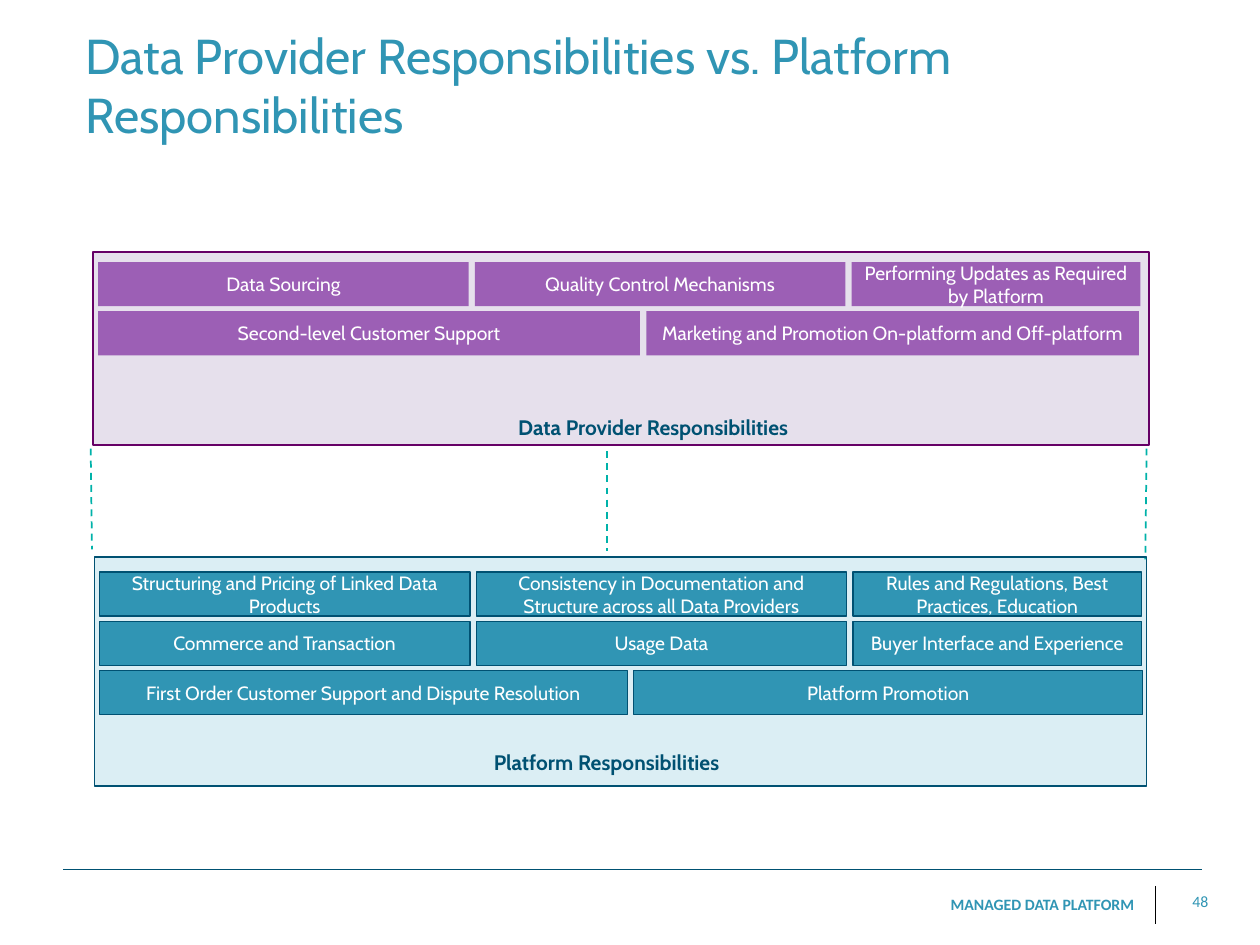
from lxml import etree
from pptx import Presentation
from pptx.dml.color import RGBColor
from pptx.enum.dml import MSO_LINE
from pptx.enum.shapes import MSO_CONNECTOR, MSO_SHAPE
from pptx.enum.text import MSO_ANCHOR, PP_ALIGN
from pptx.oxml.ns import qn
from pptx.util import Inches, Pt

BLUE = RGBColor(0x30, 0x95, 0xB4)
NAVY = RGBColor(0x00, 0x51, 0x72)
PALE_BLUE = RGBColor(0xDB, 0xEE, 0xF4)
VIOLET = RGBColor(0x9C, 0x5F, 0xB5)
PLUM = RGBColor(0x66, 0x00, 0x66)
PALE_VIOLET = RGBColor(0xE6, 0xE0, 0xEC)
TEAL = RGBColor(0x00, 0xB2, 0xA9)
BLACK = RGBColor(0, 0, 0)
WHITE = RGBColor(0xFF, 0xFF, 0xFF)

BAR_HEIGHT, ROW_PITCH, GAP, PANEL_INSET = 0.35, 0.39, 0.05, 0.04

# Bars in each row: (text, width in inches)
PROVIDER_ROWS = [
    [("Data Sourcing", 2.94), ("Quality Control Mechanisms", 2.94),
     ("Performing Updates as Required by Platform", 2.29)],
    [("Second-level Customer Support", 4.3),
     ("Marketing and Promotion On-platform and Off-platform", 3.91)],
]
PLATFORM_ROWS = [
    [("Structuring and Pricing of Linked Data Products", 2.94),
     ("Consistency in Documentation and Structure across all Data Providers", 2.94),
     ("Rules and Regulations, Best Practices, Education", 2.29)],
    [("Commerce and Transaction", 2.94), ("Usage Data", 2.94),
     ("Buyer Interface and Experience", 2.29)],
    [("First Order Customer Support and Dispute Resolution", 4.19),
     ("Platform Promotion", 4.04)],
]


def write(shape, text, size, color, font="Cabin", bold=False,
          align=PP_ALIGN.CENTER, anchor=MSO_ANCHOR.TOP, margins=(0.05, 0.05),
          wrap=True):
    frame = shape.text_frame
    frame.word_wrap = wrap
    frame.vertical_anchor = anchor
    frame.margin_left = frame.margin_right = Inches(margins[0])
    frame.margin_top = frame.margin_bottom = Inches(margins[1])
    para = frame.paragraphs[0]
    para.text = text
    para.alignment = align
    para.font.name = font
    para.font.size = Pt(size)
    para.font.bold = bold
    para.font.color.rgb = color


def add_text(page, box, text, size, color, **style):
    shape = page.shapes.add_textbox(*map(Inches, box))
    write(shape, text, size, color, **style)


def add_rectangle(page, box, fill, line=None, weight=1):
    shape = page.shapes.add_shape(MSO_SHAPE.RECTANGLE, *map(Inches, box))
    shape.shadow.inherit = False
    shape.fill.solid()
    shape.fill.fore_color.rgb = fill
    if line is None:
        shape.line.fill.background()
    else:
        shape.line.color.rgb = line
        shape.line.width = Pt(weight)
    return shape


def add_line(page, ends, color, weight, dash=None):
    line = page.shapes.add_connector(MSO_CONNECTOR.STRAIGHT, *map(Inches, ends))
    line.line.color.rgb = color
    line.line.width = Pt(weight)
    if dash is not None:
        line.line.dash_style = dash
    etree.SubElement(line._element.spPr, qn("a:effectLst"))


def add_panel(page, box, rows, top_inset, fill, border, bar_fill, bar_border,
              label, label_offset):
    left, top, _, _ = box
    add_rectangle(page, box, fill, border)

    # Rows of bars
    for row_index, row in enumerate(rows):
        bar_left = left + PANEL_INSET
        bar_top = top + top_inset + row_index * ROW_PITCH
        for text, width in row:
            bar = add_rectangle(page, (bar_left, bar_top, width, BAR_HEIGHT),
                                bar_fill, bar_border, 0.75)
            write(bar, text, 11, WHITE, anchor=MSO_ANCHOR.MIDDLE, margins=(0.1, 0))
            bar_left += width + GAP

    # Panel label
    across, down = label_offset
    add_text(page, (left + across, top + down, 3.23, 0.29), label, 12, NAVY, bold=True)


def add_links(page):
    for ends in [(0.72, 3.56, 0.73, 4.36), (4.82, 3.58, 4.82, 4.37),
                 (9.1, 3.56, 9.09, 4.44)]:
        add_line(page, ends, TEAL, 1, MSO_LINE.DASH)


def add_footer(page, box):
    left, top, width, _ = box
    add_line(page, (left, top, left + width, top), NAVY, 0.5)
    add_line(page, (9.17, top + 0.13, 9.17, top + 0.43), BLACK, 0.5)
    add_text(page, (6.05, top + 0.15, 3, 0.25), "MANAGED DATA PLATFORM", 9, BLUE,
             font="Calibri", bold=True, align=PP_ALIGN.RIGHT)
    add_text(page, (9.39, top + 0.13, 0.25, 0.25), "48", 9, BLUE,
             font="Calibri", align=PP_ALIGN.RIGHT, wrap=False)


def main():
    deck = Presentation()
    deck.slide_width, deck.slide_height = Inches(10), Inches(7.5)
    page = deck.slides.add_slide(deck.slide_layouts[6])

    add_footer(page, (0.5, 6.9, 9.04, 0.43))
    add_text(page, (0.63, 0.13, 9.01, 1.08),
             "Data Provider Responsibilities vs. Platform Responsibilities",
             28, BLUE, align=PP_ALIGN.LEFT, anchor=MSO_ANCHOR.MIDDLE)
    add_panel(page, (0.74, 2, 8.38, 1.53), PROVIDER_ROWS, 0.08, PALE_VIOLET, PLUM,
              VIOLET, None, "Data Provider Responsibilities", (2.83, 1.24))
    add_panel(page, (0.75, 4.42, 8.35, 1.82), PLATFORM_ROWS, 0.12, PALE_BLUE, NAVY,
              BLUE, NAVY, "Platform Responsibilities", (2.45, 1.48))
    add_links(page)

    deck.save("out.pptx")


if __name__ == "__main__":
    main()
